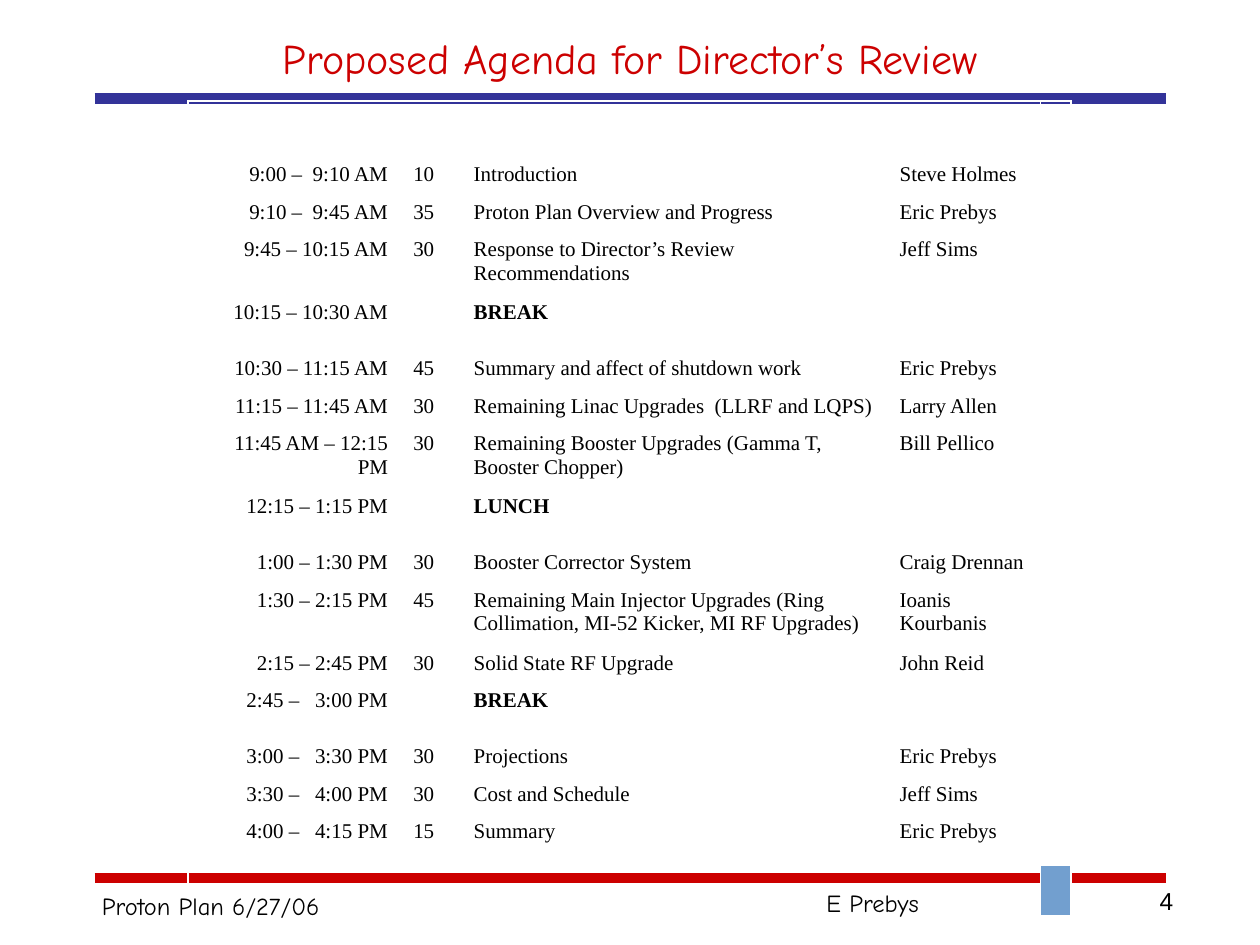
from lxml.etree import SubElement
from pptx import Presentation
from pptx.dml.color import RGBColor
from pptx.enum.shapes import MSO_CONNECTOR
from pptx.enum.text import MSO_ANCHOR, PP_ALIGN
from pptx.oxml.ns import qn
from pptx.util import Inches, Pt

TITLE = "Proposed Agenda for Director’s Review"
BLACK, RED, NAVY, BLUE = "000000", "CC0000", "333399", "729FCF"
HEADING_FONT, TABLE_FONT, NUMBER_FONT = "Comic Neue", "Times New Roman", "Arial"

# time, minutes, topic, speaker; a pause has no minutes and no speaker
AGENDA = [
    ("9:00 –  9:10 AM", "10", "Introduction", "Steve Holmes"),
    ("9:10 –  9:45 AM", "35", "Proton Plan Overview and Progress", "Eric Prebys"),
    ("9:45 – 10:15 AM", "30", "Response to Director’s Review Recommendations", "Jeff Sims"),
    ("10:15 – 10:30 AM", "", "BREAK", ""),
    ("10:30 – 11:15 AM", "45", "Summary and affect of shutdown work", "Eric Prebys"),
    ("11:15 – 11:45 AM", "30", "Remaining Linac Upgrades  (LLRF and LQPS)", "Larry Allen"),
    ("11:45 AM – 12:15 PM", "30", "Remaining Booster Upgrades (Gamma T, Booster Chopper)",
     "Bill Pellico"),
    ("12:15 – 1:15 PM", "", "LUNCH", ""),
    ("1:00 – 1:30 PM", "30", "Booster Corrector System", "Craig Drennan"),
    ("1:30 – 2:15 PM", "45",
     "Remaining Main Injector Upgrades (Ring Collimation, MI-52 Kicker, MI RF Upgrades)",
     "Ioanis Kourbanis"),
    ("2:15 – 2:45 PM", "30", "Solid State RF Upgrade", "John Reid"),
    ("2:45 –   3:00 PM", "", "BREAK", ""),
    ("3:00 –   3:30 PM", "30", "Projections", "Eric Prebys"),
    ("3:30 –   4:00 PM", "30", "Cost and Schedule", "Jeff Sims"),
    ("4:00 –   4:15 PM", "15", "Summary", "Eric Prebys"),
]
COLUMN_WIDTHS = [1.69, 0.48, 3.38, 1.22, 0.24]
PAUSE_HEIGHT, ONE_LINE, TWO_LINES, END_HEIGHT = 0.44, 0.3, 0.5, 0.4
LONGEST_LINE = 42

RULES = [(6.97, RED), (0.78, NAVY)]
# text, left, top, width, height, font, alignment, wraps
LABELS = [
    ("Proton Plan 6/27/06", 0.71, 7.02, 1.94, 0.34, HEADING_FONT, PP_ALIGN.LEFT, False),
    ("E Prebys", 6.46, 7, 2.77, 0.34, HEADING_FONT, PP_ALIGN.LEFT, True),
    ("4", 7.08, 6.98, 2.33, 0.52, NUMBER_FONT, PP_ALIGN.RIGHT, True),
]


def color(hex_text):
    return RGBColor.from_string(hex_text)


def write(frame, text, font, size, hex_text, align=PP_ALIGN.LEFT, bold=False):
    frame.text = text
    para = frame.paragraphs[0]
    para.alignment = align
    for span in para.runs:
        span.font.name, span.font.size, span.font.bold = font, Pt(size), bold
        span.font.color.rgb = color(hex_text)


def add_rule(slide, top, hex_text):
    rule = slide.shapes.add_connector(
        MSO_CONNECTOR.STRAIGHT, Inches(0.75), Inches(top), Inches(9.25), Inches(top))
    rule.line.color.rgb = color(hex_text)
    rule.line.width = Pt(6)
    SubElement(rule._element.spPr, qn("a:effectLst"))


def add_label(slide, text, left, top, width, height, font, align, wraps):
    box = slide.shapes.add_textbox(Inches(left), Inches(top), Inches(width), Inches(height))
    box.text_frame.word_wrap = wraps
    write(box.text_frame, text, font, 14, BLACK, align)


def add_title(slide):
    title = slide.shapes.title
    title.left, title.top = Inches(0.75), Inches(0.17)
    title.width, title.height = Inches(8.5), Inches(0.58)
    title.text_frame.vertical_anchor = MSO_ANCHOR.MIDDLE
    write(title.text_frame, TITLE, HEADING_FONT, 24, RED, PP_ALIGN.CENTER)


def row_height(entry):
    time, minutes, topic, speaker = entry
    if not minutes:
        return PAUSE_HEIGHT
    return TWO_LINES if len(topic) > LONGEST_LINE else ONE_LINE


def add_agenda(slide):
    heights = [PAUSE_HEIGHT, *map(row_height, AGENDA[:-1]), END_HEIGHT, END_HEIGHT]
    table = slide.shapes.add_table(
        len(heights), len(COLUMN_WIDTHS), Inches(1.49), Inches(0.8),
        Inches(sum(COLUMN_WIDTHS)), Inches(sum(heights))).table
    table.first_row = table.horz_banding = False
    for column, width in zip(table.columns, COLUMN_WIDTHS):
        column.width = Inches(width)
    for row, height in zip(table.rows, heights):
        row.height = Inches(height)
    for cell in table.iter_cells():
        cell.fill.background()

    for row_index, entry in enumerate(AGENDA, start=1):
        for column_index, text in enumerate(entry):
            write(table.cell(row_index, column_index).text_frame, text, TABLE_FONT, 12, BLACK,
                  PP_ALIGN.LEFT if column_index else PP_ALIGN.RIGHT,
                  bold=column_index == 2 and not entry[1])

    last_row, last_column = len(heights) - 1, len(COLUMN_WIDTHS) - 1
    for row_index in (0, last_row):
        table.cell(row_index, 0).merge(table.cell(row_index, last_column - 1))
    table.cell(0, last_column).merge(table.cell(last_row - 1, last_column))
    corner = table.cell(last_row, last_column)
    corner.fill.solid()
    corner.fill.fore_color.rgb = color(BLUE)


def main():
    deck = Presentation()
    deck.slide_width, deck.slide_height = Inches(10), Inches(7.5)
    slide = deck.slides.add_slide(deck.slide_layouts[5])
    for rule in RULES:
        add_rule(slide, *rule)
    add_title(slide)
    add_agenda(slide)
    for label in LABELS:
        add_label(slide, *label)
    deck.save("out.pptx")


if __name__ == "__main__":
    main()
